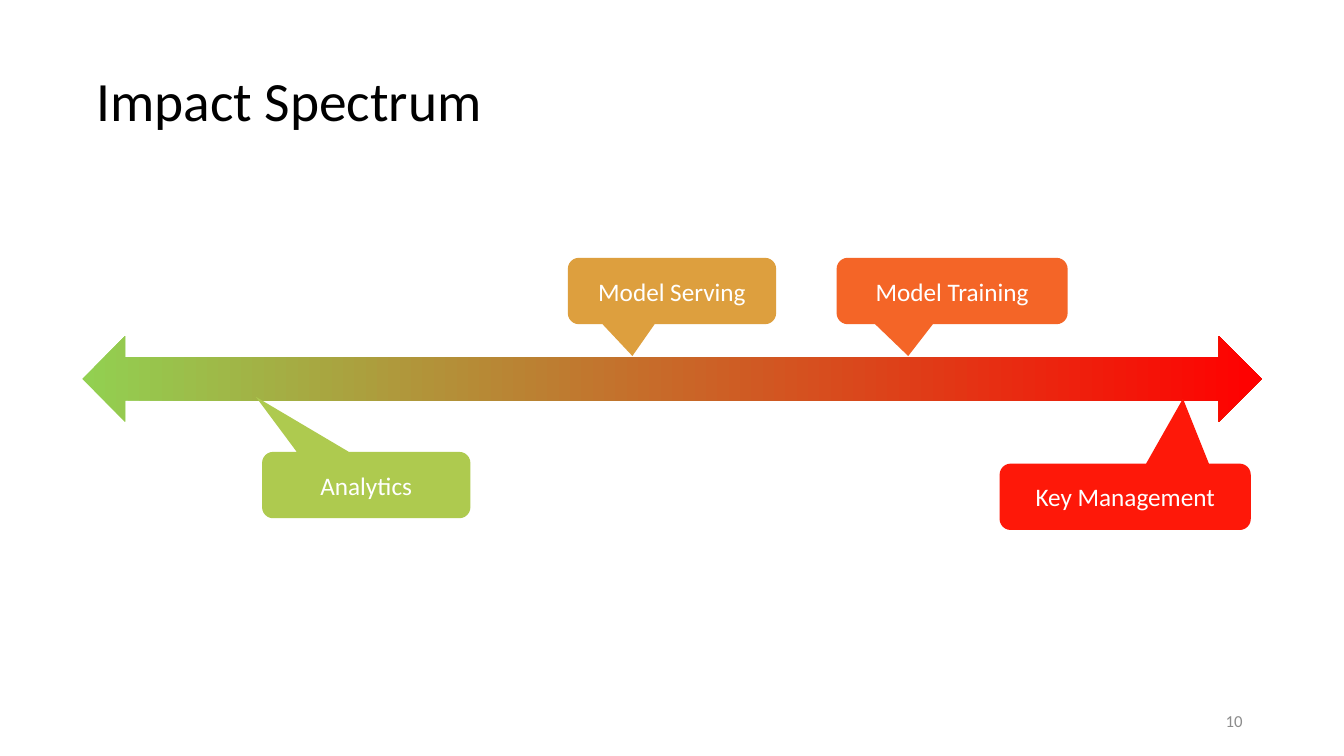
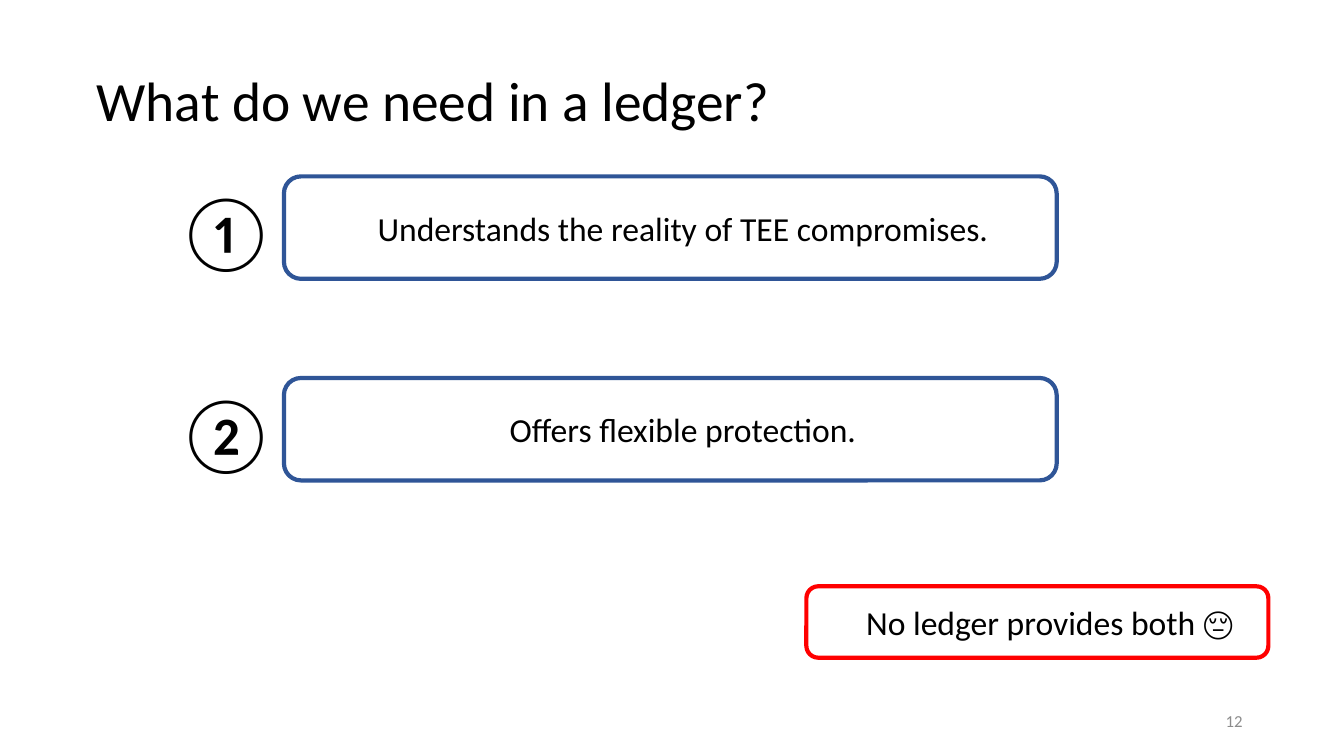
from pptx import Presentation
from pptx.dml.color import RGBColor
from pptx.enum.shapes import MSO_SHAPE
from pptx.enum.text import MSO_ANCHOR, PP_ALIGN
from pptx.util import Inches, Pt

FONT = "Calibri"
BLACK, WHITE, GREY = "000000", "FFFFFF", "8C8C8C"
GREEN, RED, BLUE = "92D051", "FF0000", "2F5597"

deck = Presentation()
deck.slide_width, deck.slide_height = Inches(13.333), Inches(7.5)
# Grid of 160 columns and 90 rows; every place is left, top, width, height
COLUMN, ROW = deck.slide_width / 160, deck.slide_height / 90
TITLE_PLACE = (10.9, 8.3, 138, 8.2)
NUMBER_PLACE = (143.9, 84, 5.2, 3.6)


def color(hex_text):
    return RGBColor.from_string(hex_text)


def add_box(shapes, kind, place, text="", size=24, ink=BLACK, fill=None, line=None,
            align=PP_ALIGN.CENTER):
    """Add a preset shape, or a text box when kind is None."""
    left, top, width, height = place
    area = [round(n) for n in (left * COLUMN, top * ROW, width * COLUMN, height * ROW)]
    if kind is None:
        box = shapes.add_textbox(*area)
    else:
        box = shapes.add_shape(kind, *area)
        box.shadow.inherit = False
        if fill:
            box.fill.solid()
            box.fill.fore_color.rgb = color(fill)
        if line:
            box.line.color.rgb = color(line)
            box.line.width = Pt(3)
        else:
            box.line.fill.background()
    frame = box.text_frame
    frame.word_wrap = True
    frame.vertical_anchor = MSO_ANCHOR.MIDDLE
    para = frame.paragraphs[0]
    para.text = text
    para.alignment = align
    para.font.name, para.font.size = FONT, Pt(size)
    para.font.color.rgb = color(ink)
    return box


# Pages with their shared title and number
pages = []
for heading, number in (("Impact Spectrum", "10"), ("What do we need in a ledger?", "12")):
    page = deck.slides.add_slide(deck.slide_layouts[5])
    title = page.shapes.title
    left, top, width, height = TITLE_PLACE
    title.left, title.width = round(left * COLUMN), round(width * COLUMN)
    title.top, title.height = round(top * ROW), round(height * ROW)
    frame = title.text_frame
    frame.text = heading
    frame.word_wrap = True
    frame.vertical_anchor = MSO_ANCHOR.BOTTOM
    frame.margin_left = frame.margin_right = Inches(0.05)
    frame.margin_top = frame.margin_bottom = Inches(0.05)
    para = frame.paragraphs[0]
    para.alignment, para.line_spacing = PP_ALIGN.LEFT, 0.9
    para.font.name, para.font.size = FONT, Pt(39.6)
    para.font.color.rgb = color(BLACK)
    add_box(page.shapes, None, NUMBER_PLACE, number, 12, GREY, align=PP_ALIGN.RIGHT)
    pages.append(page)
spectrum, ledger = pages

# Spectrum arrow
arrow = add_box(spectrum.shapes, MSO_SHAPE.LEFT_RIGHT_ARROW, (9.8, 40, 140.4, 10.2))
arrow.fill.gradient()
arrow.fill.gradient_angle = 0
for stop, shade, position in zip(arrow.fill.gradient_stops, (GREEN, RED), (0, 1)):
    stop.color.rgb = color(shade)
    stop.position = position

# Callouts on the arrow: text, left, top, width, fill, tip offset
callouts = (
    ("Analytics", 31.2, 53.8, 24.8, "AECA4F", (-0.53, -1.33)),
    ("Model Training", 99.6, 30.7, 27.5, "F46527", (-0.19, 0.98)),
    ("Key Management", 119, 55.2, 29.9, "FE1809", (0.23, -1.48)),
    ("Model Serving", 67.6, 30.7, 24.8, "DD9F3E", (-0.19, 0.98)),
)
for text, left, top, width, fill, tip in callouts:
    callout = add_box(spectrum.shapes, MSO_SHAPE.ROUNDED_RECTANGULAR_CALLOUT,
                      (left, top, width, 7.9), text, 18, WHITE, fill)
    callout.adjustments[0], callout.adjustments[1] = tip
    frame = callout.text_frame
    frame.margin_left = frame.margin_right = Inches(0.2)
    frame.margin_top = frame.margin_bottom = Inches(0.16)

# Numbered needs, each grouped with its digit
needs = (("①", "Understands the reality of TEE compromises."),
         ("②", "Offers flexible protection."))
statements = []
for index, (digit, text) in enumerate(needs):
    top = 21 + 24 * index
    group = ledger.shapes.add_group_shape()
    statements.append(add_box(group.shapes, MSO_SHAPE.ROUNDED_RECTANGLE,
                              (33.8, top, 92, 12.2), text, fill=WHITE, line=BLUE))
    add_box(group.shapes, None, (19.8, top, 12.6, 12.6), digit, 54)

# Conclusion
statements.append(add_box(ledger.shapes, MSO_SHAPE.ROUNDED_RECTANGLE, (96, 69.8, 55, 8.5),
                          "No ledger provides both 😔", fill=WHITE, line=RED))
for statement in statements:
    properties = statement.text_frame.paragraphs[0]._p.get_or_add_pPr()
    properties.set("marL", str(Inches(0.25)))
    properties.set("indent", "0")

deck.save("out.pptx")
